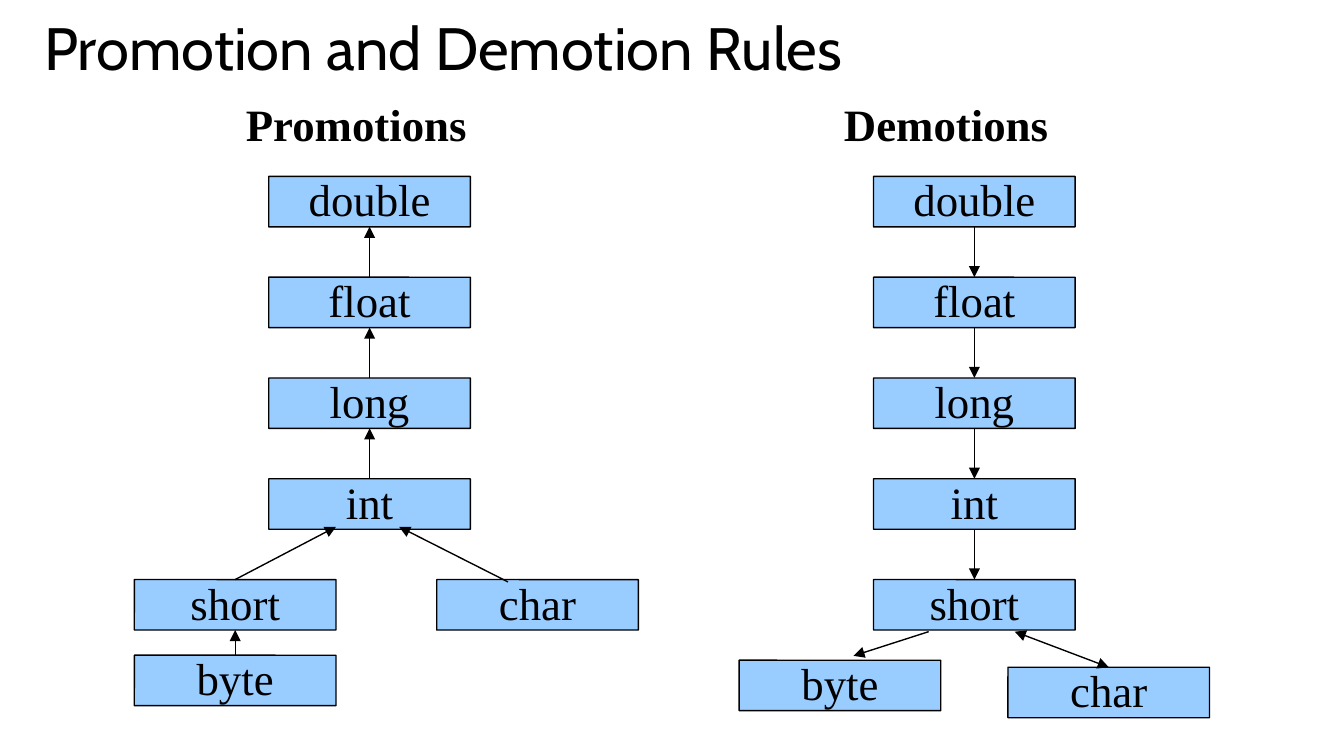
from lxml import etree
from pptx import Presentation, util as u
from pptx.dml.color import RGBColor
from pptx.enum import shapes, text
from pptx.oxml import ns

# Content: boxes are (label, column, row); arrows join box names or (x, y) points
TITLE = "Promotion and Demotion Rules"
HEADINGS = "\tPromotions\tDemotions"
HEADING_STOPS = (1.33, 5.78)
CHAIN = ["double", "float", "long", "int"]
TREES = [
    {   # promotions: arrows climb the chain
        "boxes": [(name, 4, row) for row, name in enumerate(CHAIN)]
        + [("short", 2, 4), ("char", 6.5, 4), ("byte", 2, 4.75)],
        "chain": CHAIN[::-1], "sides": (0, 2),
        "arrows": [("byte", "short", False), ("short", (2.5, 3.92), False),
                   ((3.78, 4.33), (2.97, 3.92), False)],
    },
    {   # demotions: arrows descend the chain
        "boxes": [(name, 13, row) for row, name in enumerate(CHAIN + ["short"])]
        + [("byte", 11, 4.8), ("char", 15, 4.87)],
        "chain": CHAIN + ["short"], "sides": (2, 0),
        "arrows": [((6.91, 4.7), (6.35, 4.88), False),
                   ((7.55, 4.7), "char", True)],
    },
]
COLORS = {"ink": "000000", "box": "99CCFF"}
BODY_FONT, TITLE_FONT = "Times New Roman", "Cabin"

# Grid
COLUMN, ROW = 0.5, 0.75
TOP = 1.75 * ROW
BOX_WIDTH, BOX_HEIGHT = 3 * COLUMN, ROW / 2

# A 16:9 page
deck = Presentation()
deck.slide_width = u.Inches(10)
deck.slide_height = deck.slide_width * 9 // 16
page = deck.slides.add_slide(deck.slide_layouts[6])


def color(name):
    return RGBColor.from_string(COLORS[name])


def write(shape, words, font=BODY_FONT, size=24, bold=False, inset=0.0,
          align=text.PP_ALIGN.LEFT, anchor=text.MSO_ANCHOR.MIDDLE,
          spacing=0.95, stops=()):
    frame = shape.text_frame
    frame.word_wrap = True
    frame.vertical_anchor = anchor
    frame.margin_left = frame.margin_right = u.Inches(inset)
    frame.margin_top = frame.margin_bottom = u.Inches(inset)
    para = frame.paragraphs[0]
    para.alignment, para.line_spacing = align, spacing
    if stops:
        tabs = etree.SubElement(para._p.get_or_add_pPr(), ns.qn("a:tabLst"))
        for stop in stops:
            etree.SubElement(tabs, ns.qn("a:tab"), pos=str(u.Inches(stop)), algn="l")
    span = para.add_run()
    span.text = words
    span.font.name, span.font.size, span.font.bold = font, u.Pt(size), bold
    span.font.color.rgb = color("ink")


def add_text(words, left, top, width, height, **style):
    box = page.shapes.add_textbox(*map(u.Inches, (left, top, width, height)))
    write(box, words, **style)


def add_box(label, column, row):
    box = page.shapes.add_shape(
        shapes.MSO_SHAPE.ROUNDED_RECTANGLE, u.Inches(column * COLUMN),
        u.Inches(TOP + row * ROW), u.Inches(BOX_WIDTH), u.Inches(BOX_HEIGHT))
    box.adjustments[0] = 0.001
    box.shadow.inherit = False
    box.fill.solid()
    box.fill.fore_color.rgb = color("box")
    box.line.color.rgb, box.line.width = color("ink"), u.Pt(0.75)
    write(box, label, inset=0.02, align=text.PP_ALIGN.CENTER)
    return box


def add_arrow(boxes, start, end, sides, both=False):
    points = [(0, 0) if isinstance(place, str) else place for place in (start, end)]
    arrow = page.shapes.add_connector(
        shapes.MSO_CONNECTOR.STRAIGHT, *[u.Inches(n) for point in points for n in point])
    if isinstance(start, str):
        arrow.begin_connect(boxes[start], sides[0])
    if isinstance(end, str):
        arrow.end_connect(boxes[end], sides[1])
    arrow.line.color.rgb, arrow.line.width = color("ink"), u.Pt(0.75)
    line = arrow.line._get_or_add_ln()
    for tip in ("a:headEnd", "a:tailEnd") if both else ("a:tailEnd",):
        etree.SubElement(line, ns.qn(tip), type="triangle")
    etree.SubElement(arrow._element.spPr, ns.qn("a:effectLst"))


# Title and headings
add_text(TITLE, 0.33, -0.06, 9.5, 0.81, font=TITLE_FONT, size=32, spacing=1.01)
add_text(HEADINGS, 0.5, 0.75, 8.83, 4.49, bold=True,
         anchor=text.MSO_ANCHOR.TOP, stops=HEADING_STOPS)

# Type trees
for tree in TREES:
    boxes = {spot[0]: add_box(*spot) for spot in tree["boxes"]}
    steps = [(a, b, False) for a, b in zip(tree["chain"], tree["chain"][1:])]
    for start, end, both in steps + tree["arrows"]:
        add_arrow(boxes, start, end, tree["sides"], both)

deck.save("out.pptx")
